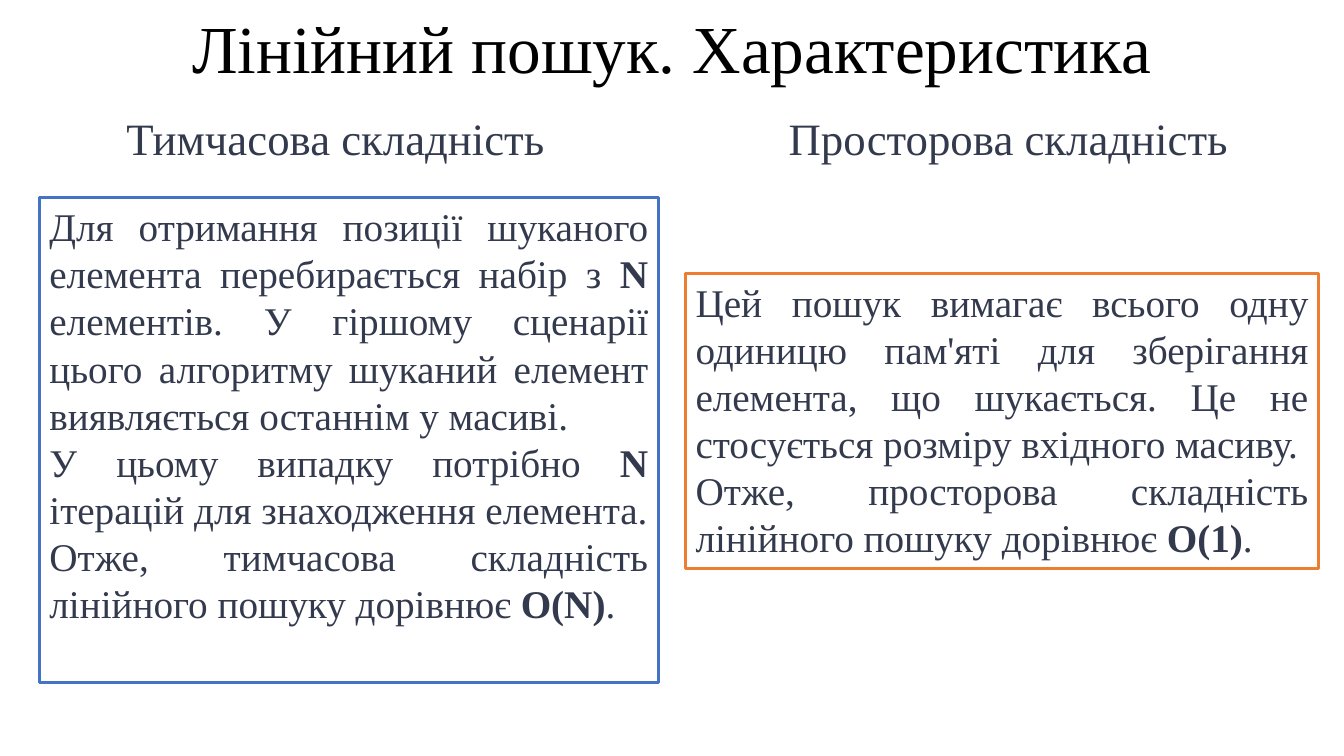
"""Build a slide comparing the time and space complexity of linear search."""
import pptx
import pptx.util
import pptx.dml.color
import pptx.enum.text
import pptx.oxml.xmlchemy
import lxml.etree

Pt = pptx.util.Pt
RGBColor = pptx.dml.color.RGBColor
ALIGN = pptx.enum.text.PP_ALIGN
ANCHOR = pptx.enum.text.MSO_ANCHOR

BLACK = RGBColor(0x00, 0x00, 0x00)
SLATE = RGBColor(0x33, 0x3A, 0x4D)
BLUE = RGBColor(0x44, 0x72, 0xC4)
ORANGE = RGBColor(0xED, 0x7D, 0x31)
FONT = "Times New Roman"
DRAWING = "{http://schemas.openxmlformats.org/drawingml/2006/main}"


def fill_box(box, place, paragraphs, size, color, align, anchor):
    box.left, box.top, box.width, box.height = [Pt(length) for length in place]
    frame = box.text_frame
    frame.word_wrap = True
    frame.auto_size = pptx.enum.text.MSO_AUTO_SIZE.NONE
    frame.vertical_anchor = anchor
    for number, spans in enumerate(paragraphs):
        para = frame.add_paragraph() if number else frame.paragraphs[0]
        para.alignment = align
        para.space_before = Pt(0)
        properties = para._p.get_or_add_pPr()
        properties.set("marL", "0")
        properties.set("indent", "0")
        lxml.etree.SubElement(properties, DRAWING + "buNone")
        for text, bold in spans:
            span = para.add_run()
            span.text = text
            span.font.name = FONT
            span.font.size = Pt(size)
            span.font.bold = bold
            span.font.color.rgb = color


deck = pptx.Presentation()
deck.slide_width = Pt(960)
deck.slide_height = Pt(540)
page = deck.slides.add_slide(deck.slide_layouts.get_by_name("Comparison"))
title, time_heading, time_body, space_heading, space_body = page.placeholders

fill_box(title, (0, 0, 960, 65.5), [[("Лінійний пошук. Характеристика", False)]],
         48, BLACK, ALIGN.CENTER, ANCHOR.BOTTOM)

headings = [
    (time_heading, 0, 479.5, "Тимчасова складність"),
    (space_heading, 479.5, 481.5, "Просторова складність"),
]
for box, left, width, text in headings:
    fill_box(box, (left, 75.6, width, 46), [[(text, False)]],
             32, SLATE, ALIGN.CENTER, ANCHOR.TOP)

time_text = [
    [("Для отримання позиції шуканого елемента перебирається набір з ", False),
     ("N ", True),
     ("елементів. У гіршому сценарії цього алгоритму шуканий елемент "
      "виявляється останнім у масиві.", False)],
    [("У цьому випадку потрібно ", False), ("N ", True),
     ("ітерацій для знаходження елемента.", False)],
    [("Отже, тимчасова складність лінійного пошуку дорівнює ", False),
     ("O(N)", True), (".", False)],
]
space_text = [
    [("Цей пошук вимагає всього одну одиницю пам'яті для зберігання елемента, "
      "що шукається. Це не стосується розміру вхідного масиву.", False)],
    [("Отже, просторова складність лінійного пошуку дорівнює ", False),
     ("O(1)", True), (".", False)],
]
bodies = [
    (time_body, (28.1, 141.1, 442.1, 346.3), time_text, BLUE),
    (space_body, (489.6, 195.1, 452.2, 211), space_text, ORANGE),
]
for box, place, paragraphs, border in bodies:
    fill_box(box, place, paragraphs, 28, SLATE, ALIGN.JUSTIFY, ANCHOR.TOP)
    box.line.color.rgb = border
    box.line.width = Pt(2.25)

deck.save("out.pptx")
